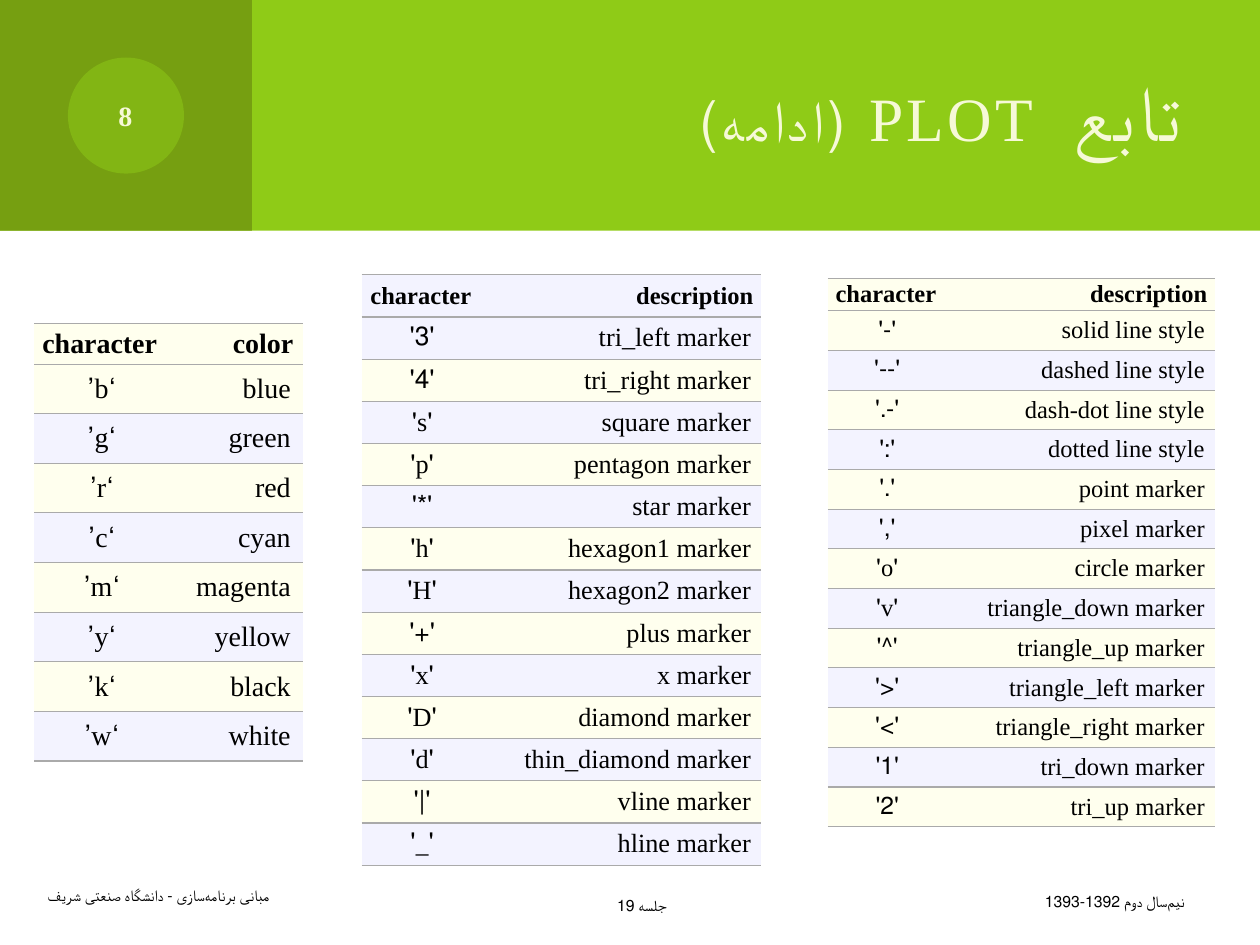
from dataclasses import dataclass

from lxml import etree
from pptx import Presentation
from pptx.dml.color import RGBColor
from pptx.enum.shapes import MSO_SHAPE
from pptx.enum.text import MSO_ANCHOR, PP_ALIGN
from pptx.oxml.ns import qn
from pptx.util import Cm, Pt

RECTANGLE, OVAL = MSO_SHAPE.RECTANGLE, MSO_SHAPE.OVAL
MIDDLE = MSO_ANCHOR.MIDDLE
LEFT, CENTER, RIGHT = PP_ALIGN.LEFT, PP_ALIGN.CENTER, PP_ALIGN.RIGHT

GREEN = RGBColor(0x8F, 0xCB, 0x17)
DARK_GREEN = RGBColor(0x76, 0x9F, 0x11)
PALE = RGBColor(0xF6, 0xF9, 0xD7)
BLACK = RGBColor(0, 0, 0)
CREAM = RGBColor(0xFF, 0xFF, 0xEE)
LAVENDER = RGBColor(0xF3, 0xF3, 0xFF)
RULE_GRAY = RGBColor(0xAA, 0xAA, 0xAA)

SERIF, SANS = "Times New Roman", "Roboto"
MARGINS = ("margin_left", "margin_top", "margin_right", "margin_bottom")
NON_JOINER = chr(0x200C)  # keeps Persian letters apart within a word


@dataclass
class Label:
    box: tuple  # left, top, width, height in cm
    runs: list  # (text, size) pairs
    align: int
    font: str = SERIF
    color: RGBColor = BLACK
    bold: bool = False
    spacing: int = 0
    complex_font: str = ""


@dataclass
class Reference:
    left: float
    top: float
    columns: tuple
    header_height: float
    row_height: float
    headings: tuple
    heading_size: int
    body_size: int
    heading_margins: tuple
    body_margins: tuple
    bands: tuple
    rows: list


def style_run(run, **formats) -> None:
    for name, value in formats.items():
        setattr(run.font, name, value)


def add_block(slide, kind: int, box: tuple, color: RGBColor):
    block = slide.shapes.add_shape(kind, *map(Cm, box))
    block.shadow.inherit = False
    block.fill.solid()
    block.fill.fore_color.rgb = color
    block.line.fill.background()
    return block


def align_rtl(paragraph, align: int) -> None:
    paragraph.alignment = align
    paragraph._p.get_or_add_pPr().set("rtl", "1")


def add_label(slide, label: Label) -> None:
    frame = slide.shapes.add_textbox(*map(Cm, label.box)).text_frame
    frame.word_wrap = True
    frame.vertical_anchor = MIDDLE
    paragraph = frame.paragraphs[0]
    align_rtl(paragraph, label.align)
    for text, size in label.runs:
        run = paragraph.add_run()
        run.text = text
        style_run(run, size=Pt(size), name=label.font, bold=label.bold)
        run.font.color.rgb = label.color
        properties = run._r.get_or_add_rPr()
        properties.set("cap", "small")
        if label.spacing:
            properties.set("spc", str(label.spacing))
        if label.complex_font:
            etree.SubElement(properties, qn("a:cs"), typeface=label.complex_font)


def rule_cell(cell) -> None:
    """Gray rules above and below, none at the sides."""
    properties = cell._tc.get_or_add_tcPr()
    for side in ("lnL", "lnR", "lnT", "lnB"):
        line = etree.SubElement(properties, qn(f"a:{side}"), w=str(Pt(0.75)))
        if side in ("lnL", "lnR"):
            etree.SubElement(line, qn("a:noFill"))
        else:
            fill = etree.SubElement(line, qn("a:solidFill"))
            etree.SubElement(fill, qn("a:srgbClr"), val=str(RULE_GRAY))


def fill_cell(cell, text: str, align: int, band: RGBColor, margins: tuple,
              size: int, bold: bool) -> None:
    rule_cell(cell)
    cell.fill.solid()
    cell.fill.fore_color.rgb = band
    cell.vertical_anchor = MIDDLE
    for name, margin in zip(MARGINS, margins):
        setattr(cell, name, Cm(margin))
    paragraph = cell.text_frame.paragraphs[0]
    align_rtl(paragraph, align)
    run = paragraph.add_run()
    run.text = text
    style_run(run, size=Pt(size), name=SERIF, bold=bold)
    run.font.color.rgb = BLACK


def add_reference(slide, ref: Reference) -> None:
    heights = [ref.header_height] + [ref.row_height] * len(ref.rows)
    table = slide.shapes.add_table(
        len(heights), len(ref.columns), Cm(ref.left), Cm(ref.top),
        Cm(sum(ref.columns)), Cm(sum(heights))).table
    table.first_row = table.horz_banding = False
    for column, width in zip(table.columns, ref.columns):
        column.width = Cm(width)
    for r, (height, texts) in enumerate(zip(heights, [ref.headings] + ref.rows)):
        table.rows[r].height = Cm(height)
        heading = r == 0
        band = ref.bands[0 if heading else (r - 1) % 2]
        margins = ref.heading_margins if heading else ref.body_margins
        size = ref.heading_size if heading else ref.body_size
        for c, (text, align) in enumerate(zip(texts, (CENTER, RIGHT))):
            fill_cell(table.cell(r, c), text, align, band, margins, size, heading)


def marker_rows(*pairs: tuple) -> list:
    return [(f"'{code}'", f"{name} marker") for code, name in pairs]


LINE_STYLES = [("'-'", "solid line style"), ("'--'", "dashed line style"),
               ("'-.'", "dash-dot line style"), ("':'", "dotted line style")]
BASIC_MARKERS = marker_rows(
    (".", "point"), (",", "pixel"), ("o", "circle"), ("v", "triangle_down"),
    ("^", "triangle_up"), ("<", "triangle_left"), (">", "triangle_right"),
    ("1", "tri_down"), ("2", "tri_up"))
MORE_MARKERS = marker_rows(
    ("3", "tri_left"), ("4", "tri_right"), ("s", "square"), ("p", "pentagon"),
    ("*", "star"), ("h", "hexagon1"), ("H", "hexagon2"), ("+", "plus"),
    ("x", "x"), ("D", "diamond"), ("d", "thin_diamond"), ("|", "vline"),
    ("_", "hline"))
COLORS = [(f"‘{code}’", name) for code, name in zip(
    "bgrcmykw",
    ("blue", "green", "red", "cyan", "magenta", "yellow", "black", "white"))]

DESCRIPTION_HEADINGS = ("character", "description")
TIGHT, SNUG = (0.1, 0.03, 0.15, 0.03), (0.2, 0.1, 0.2, 0.1)

REFERENCES = [
    Reference(16.69, 5.61, (2.39, 5.41), 0.64, 0.8, DESCRIPTION_HEADINGS, 14, 14,
              TIGHT, SNUG, (CREAM, LAVENDER), LINE_STYLES + BASIC_MARKERS),
    Reference(7.29, 5.54, (2.44, 5.61), 0.85, 0.85, DESCRIPTION_HEADINGS, 14, 15,
              TIGHT, SNUG, (LAVENDER, CREAM), MORE_MARKERS),
    Reference(0.69, 6.53, (2.71, 2.71), 0.81, 1, ("character", "color"), 16, 16,
              (0.13, 0.03, 0.2, 0.03), (0.25, 0.13, 0.25, 0.13),
              (CREAM, LAVENDER), COLORS),
]

LABELS = [
    Label((6.78, 0.64, 17.35, 3.18), [("تابع plot ", 44), ("(ادامه)", 32)],
          RIGHT, color=PALE, spacing=200),
    Label((1.47, 1.48, 2.11, 1.7), [("8", 16)], CENTER, color=PALE, bold=True,
          complex_font=SERIF),
    Label((0.71, 17.53, 9.32, 1.02),
          [(NON_JOINER.join(("مبانی برنامه", "سازی - دانشگاه صنعتی شریف")), 9)],
          LEFT),
    Label((9.98, 17.73, 5.92, 1.02), [("جلسه 19", 9)], CENTER, SANS),
    Label((18.21, 17.65, 5.92, 1.02),
          [(NON_JOINER.join(("نیم", "سال دوم 1392-1393")), 9)], RIGHT, SANS),
]


def main() -> None:
    deck = Presentation()
    deck.slide_width, deck.slide_height = Cm(25.4), Cm(19.05)
    slide = deck.slides.add_slide(deck.slide_layouts[6])

    # Header band with the page number badge
    add_block(slide, RECTANGLE, (0, 0, 25.4, 4.65), GREEN)
    add_block(slide, RECTANGLE, (0, 0, 5.08, 4.65), DARK_GREEN)
    badge = add_block(slide, OVAL, (1.37, 1.16, 2.34, 2.34), GREEN)
    badge_color = badge._element.spPr.find(f"{qn('a:solidFill')}/{qn('a:srgbClr')}")
    etree.SubElement(badge_color, qn("a:alpha"), val="50000")

    # Title, page number and footer
    for label in LABELS:
        add_label(slide, label)

    # Reference tables
    for reference in REFERENCES:
        add_reference(slide, reference)

    deck.save("out.pptx")


if __name__ == "__main__":
    main()
